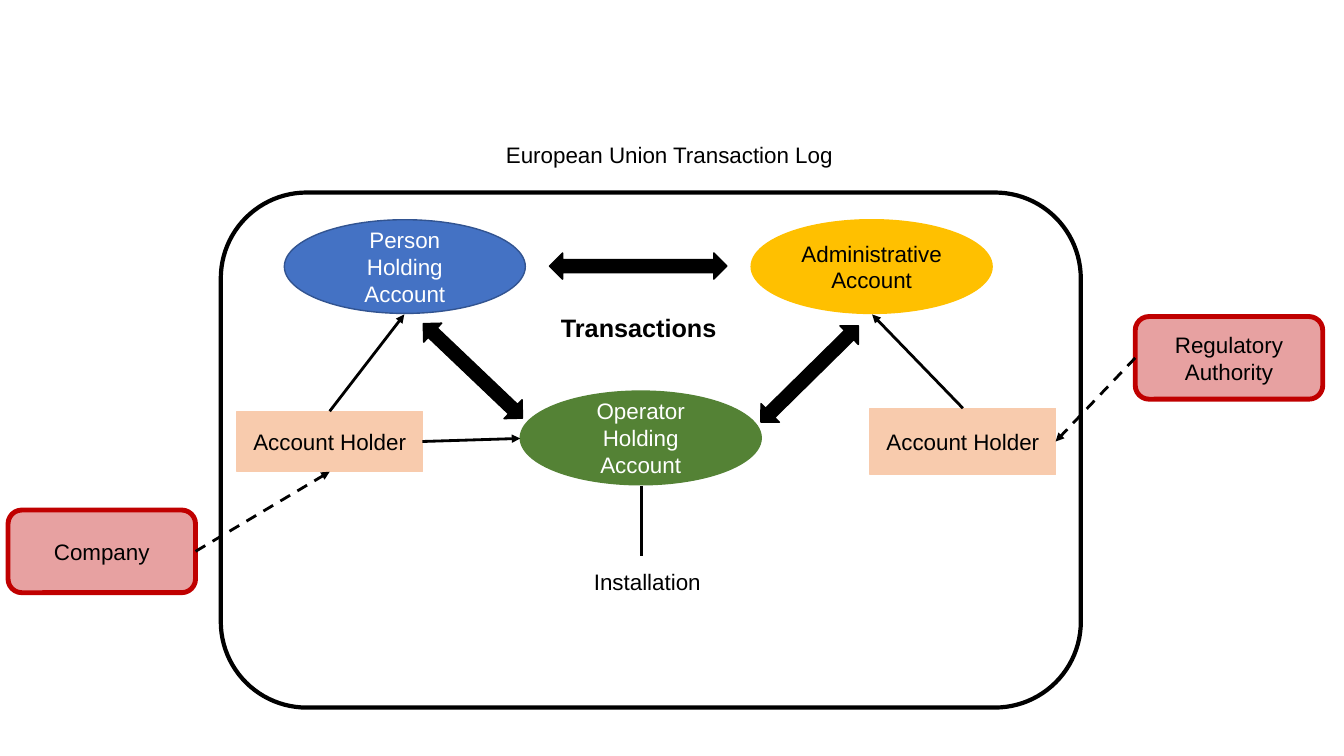
from dataclasses import dataclass
from typing import Optional

from lxml import etree
from pptx import Presentation
from pptx.dml.color import RGBColor
from pptx.enum.dml import MSO_LINE
from pptx.enum.shapes import MSO_CONNECTOR, MSO_SHAPE
from pptx.enum.text import MSO_ANCHOR, PP_ALIGN
from pptx.oxml.ns import qn
from pptx.util import Inches, Pt

ELLIPSE = MSO_SHAPE.OVAL
RECT = MSO_SHAPE.RECTANGLE
ROUNDED = MSO_SHAPE.ROUNDED_RECTANGLE
DOUBLE_ARROW = MSO_SHAPE.LEFT_RIGHT_ARROW
STRAIGHT = MSO_CONNECTOR.STRAIGHT
DASH = MSO_LINE.DASH
MIDDLE, TOP = MSO_ANCHOR.MIDDLE, MSO_ANCHOR.TOP
CENTER, LEFT = PP_ALIGN.CENTER, PP_ALIGN.LEFT

COLORS = {
    "black": "000000",
    "white": "FFFFFF",
    "blue": "4472C4",
    "navy": "325491",
    "gold": "FFC000",
    "green": "548235",
    "peach": "F8CBAD",
    "red": "C00000",
}
FONT = {"name": "Arial", "size": Pt(16), "bold": False}
ELLIPSE_SIZE = (2.39, 0.93)
PARTY_SIZE = (1.86, 0.82)


@dataclass
class Node:
    kind: MSO_SHAPE
    left: float
    top: float
    width: float
    height: float
    line: str
    fill: Optional[str] = None
    text: str = ""
    color: str = "black"
    weight: float = 1
    opacity: int = 100
    rotation: float = 0


@dataclass
class Label:
    text: str
    left: float
    top: float
    width: float
    height: float
    size: int = 16
    bold: bool = False
    align: PP_ALIGN = CENTER
    anchor: MSO_ANCHOR = TOP


@dataclass
class Link:
    start: tuple[float, float]
    end: tuple[float, float]
    arrow: bool = True
    dashed: bool = False


NODES = [
    Node(ROUNDED, 2.19, 1.91, 8.53, 5.11, "black", weight=3),
    Node(ELLIPSE, 2.82, 2.18, *ELLIPSE_SIZE, "navy", "blue",
         "Person\nHolding Account", "white"),
    Node(ELLIPSE, 7.45, 2.18, *ELLIPSE_SIZE, "gold", "gold",
         "Administrative Account"),
    Node(ELLIPSE, 5.16, 3.88, *ELLIPSE_SIZE, "green", "green",
         "Operator Holding Account", "white"),
    Node(RECT, 8.63, 4.05, 1.84, 0.66, "peach", "peach", "Account Holder"),
    Node(RECT, 2.35, 4.08, 1.84, 0.6, "peach", "peach", "Account Holder"),
    Node(DOUBLE_ARROW, 5.45, 2.51, 1.76, 0.26, "black", "black"),
    Node(DOUBLE_ARROW, 4.01, 3.55, 1.36, 0.26, "black", "black", rotation=43.6),
    Node(DOUBLE_ARROW, 7.35, 3.58, 1.36, 0.26, "black", "black", rotation=135.4),
    Node(ROUNDED, 0.08, 5.06, *PARTY_SIZE, "red", "red", "Company",
         weight=3.5, opacity=37),
    Node(ROUNDED, 11.26, 3.14, *PARTY_SIZE, "red", "red", "Regulatory Authority",
         weight=3.5, opacity=37),
]
LABELS = [
    Label("European Union Transaction Log", 4.92, 1.35, 3.84, 0.37, align=LEFT),
    Label("Transactions", 4.92, 3.05, 2.83, 0.4, size=18, bold=True),
    Label("Installation", 5.63, 5.52, 1.58, 0.5, anchor=MIDDLE),
]
LINKS = [
    Link((6.36, 4.82), (6.36, 5.52), arrow=False),
    Link((9.55, 4.05), (8.65, 3.12)),
    Link((4.19, 4.38), (5.16, 4.35)),
    Link((3.27, 4.08), (4.01, 3.12)),
    Link((11.26, 3.55), (10.47, 4.38), dashed=True),
    Link((1.94, 5.47), (3.27, 4.68), dashed=True),
]


def rgb(name: str) -> RGBColor:
    return RGBColor.from_string(COLORS[name])


def write(tf, text: str, color: str, align: PP_ALIGN, anchor: MSO_ANCHOR,
          **changes) -> None:
    """Fill a text frame with one paragraph; newlines become line breaks."""
    tf.word_wrap = True
    tf.vertical_anchor = anchor
    p = tf.paragraphs[0]
    p.text = text
    p.alignment = align
    for r in p.runs:
        for attr, value in (FONT | changes).items():
            setattr(r.font, attr, value)
        r.font.color.rgb = rgb(color)


def add_node(shapes, node: Node) -> None:
    sp = shapes.add_shape(node.kind, Inches(node.left), Inches(node.top),
                          Inches(node.width), Inches(node.height))
    sp.shadow.inherit = False
    sp.rotation = node.rotation
    sp.line.color.rgb = rgb(node.line)
    sp.line.width = Pt(node.weight)
    if node.fill:
        sp.fill.solid()
        sp.fill.fore_color.rgb = rgb(node.fill)
    else:
        sp.fill.background()
    if node.opacity < 100:
        clr = sp._element.spPr.find(qn("a:solidFill")).find(qn("a:srgbClr"))
        etree.SubElement(clr, qn("a:alpha"), val=str(node.opacity * 1000))
    if node.text:
        write(sp.text_frame, node.text, node.color, CENTER, MIDDLE)


def add_label(shapes, label: Label) -> None:
    sp = shapes.add_textbox(Inches(label.left), Inches(label.top),
                            Inches(label.width), Inches(label.height))
    write(sp.text_frame, label.text, "black", label.align, label.anchor,
          size=Pt(label.size), bold=label.bold)


def add_link(shapes, link: Link) -> None:
    ends = [Inches(v) for v in (*link.start, *link.end)]
    cxn = shapes.add_connector(STRAIGHT, *ends)
    cxn.line.color.rgb = rgb("black")
    cxn.line.width = Pt(2)
    if link.dashed:
        cxn.line.dash_style = DASH
    if link.arrow:
        etree.SubElement(cxn.line._get_or_add_ln(), qn("a:tailEnd"), type="triangle")
    etree.SubElement(cxn._element.spPr, qn("a:effectLst"))


def main() -> None:
    prs = Presentation()
    prs.slide_width, prs.slide_height = Inches(13.33), Inches(7.5)
    shapes = prs.slides.add_slide(prs.slide_layouts[6]).shapes
    for node in NODES:
        add_node(shapes, node)
    for label in LABELS:
        add_label(shapes, label)
    for link in LINKS:
        add_link(shapes, link)
    prs.save("out.pptx")


if __name__ == "__main__":
    main()
